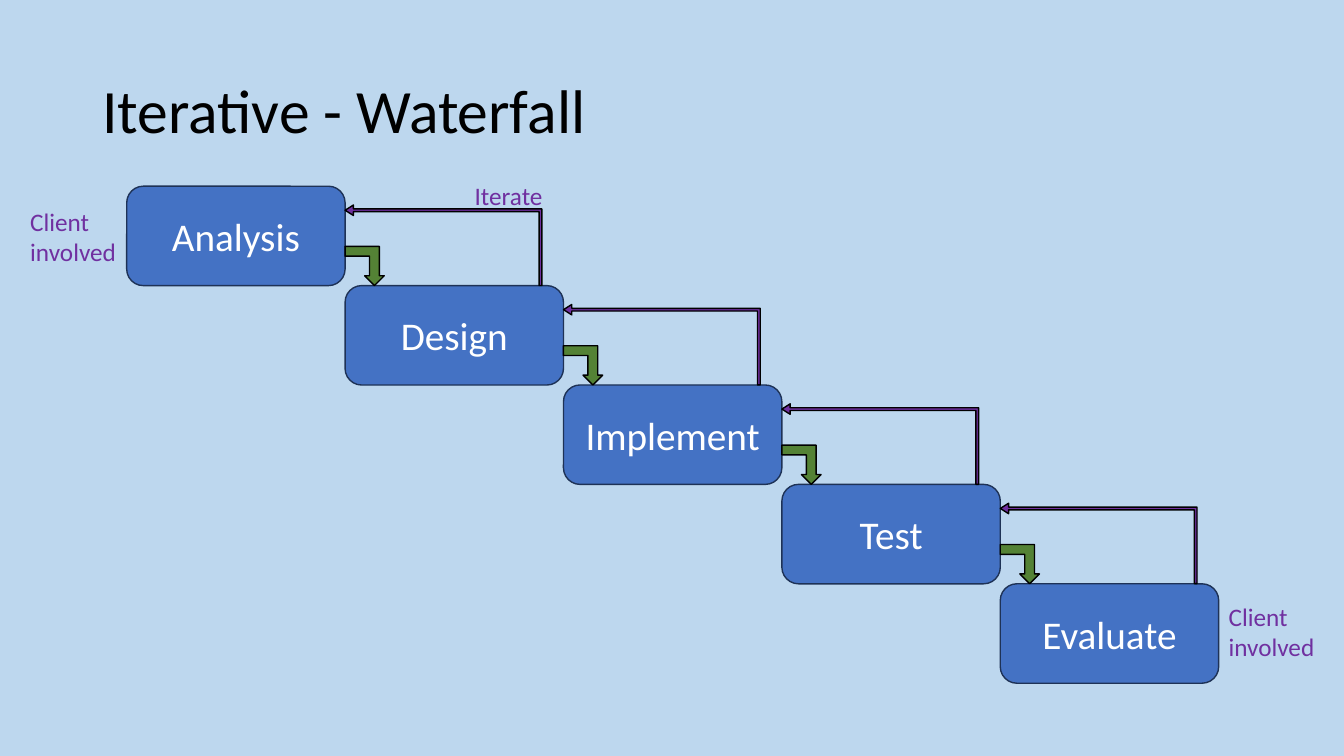
from dataclasses import dataclass

import pptx
import pptx.dml.color
import pptx.enum.shapes
import pptx.enum.text
import pptx.oxml.ns
import pptx.shapes.autoshape
import pptx.slide
import pptx.util

RGBColor = pptx.dml.color.RGBColor
SHAPE = pptx.enum.shapes.MSO_SHAPE
ALIGN = pptx.enum.text.PP_ALIGN
ANCHOR = pptx.enum.text.MSO_ANCHOR
AUTO_SIZE = pptx.enum.text.MSO_AUTO_SIZE

EMU_PER_PX = 6350  # 144 px to the inch
FONT = "Calibri"

BACKGROUND = RGBColor(0xBD, 0xD7, 0xEE)
BLUE = RGBColor(0x44, 0x72, 0xC4)
NAVY = RGBColor(0x1E, 0x32, 0x56)
GREEN = RGBColor(0x54, 0x82, 0x35)
PURPLE = RGBColor(0x70, 0x30, 0xA0)
BLACK = RGBColor(0, 0, 0)
WHITE = RGBColor(255, 255, 255)

STAGE_NAMES = ["Analysis", "Design", "Implement", "Test", "Evaluate"]
FIRST_LEFT, FIRST_TOP = 181, 266
STAGE_WIDTH, STAGE_HEIGHT = 312, 142
FORWARD_SIZE = 56
ITERATE_WIDTH, ITERATE_HEIGHT = 281, 115
ITERATE_ADJUSTMENTS = (0.034, 0.065, 0.103)


@dataclass(frozen=True)
class Box:
    left: int
    top: int
    width: int
    height: int

    def emu(self) -> list[int]:
        return [px * EMU_PER_PX for px in (self.left, self.top, self.width, self.height)]


@dataclass(frozen=True)
class Stage:
    name: str
    box: Box


@dataclass(frozen=True)
class Note:
    text: str
    box: Box


NOTES = [
    Note("Iterate", Box(664, 251, 127, 58)),
    Note("Client\ninvolved", Box(29, 287, 153, 102)),
    Note("Client\ninvolved", Box(1741, 852, 153, 102)),
]


def style_text(frame: pptx.text.text.TextFrame, text: str, size: int, color: RGBColor) -> None:
    frame.text = text
    for paragraph in frame.paragraphs:
        paragraph.font.name = FONT
        paragraph.font.size = pptx.util.Pt(size)
        paragraph.font.color.rgb = color


def add_filled_shape(
    slide: pptx.slide.Slide, kind: SHAPE, box: Box, fill: RGBColor, line: RGBColor
) -> pptx.shapes.autoshape.Shape:
    shape = slide.shapes.add_shape(kind, *box.emu())
    shape.shadow.inherit = False
    shape.fill.solid()
    shape.fill.fore_color.rgb = fill
    shape.line.color.rgb = line
    shape.line.width = pptx.util.Pt(1)
    return shape


def flip(shape: pptx.shapes.autoshape.Shape, *attributes: str) -> None:
    transform = shape._element.spPr.find(pptx.oxml.ns.qn("a:xfrm"))
    for attribute in attributes:
        transform.set(attribute, "1")


def add_title(slide: pptx.slide.Slide) -> None:
    frame = slide.shapes.add_textbox(*Box(132, 58, 1656, 209).emu()).text_frame
    frame.word_wrap = True
    frame.vertical_anchor = ANCHOR.MIDDLE
    style_text(frame, "Iterative - Waterfall", 44, BLACK)
    frame.paragraphs[0].line_spacing = 0.9


def add_stage(slide: pptx.slide.Slide, stage: Stage) -> None:
    shape = add_filled_shape(slide, SHAPE.ROUNDED_RECTANGLE, stage.box, BLUE, NAVY)
    frame = shape.text_frame
    frame.vertical_anchor = ANCHOR.MIDDLE
    style_text(frame, stage.name, 28, WHITE)
    frame.paragraphs[0].alignment = ALIGN.CENTER


def add_forward_arrow(slide: pptx.slide.Slide, target: Box) -> None:
    """Lead from the previous stage down onto the target."""
    box = Box(target.left, target.top - FORWARD_SIZE, FORWARD_SIZE, FORWARD_SIZE)
    flip(add_filled_shape(slide, SHAPE.BENT_UP_ARROW, box, GREEN, BLACK), "flipV")


def add_iterate_arrow(slide: pptx.slide.Slide, source: Box) -> None:
    """Lead from the source back to the stage before it.

    The quarter turn swaps the sides of the frame about its centre.
    """
    shift = (ITERATE_WIDTH - ITERATE_HEIGHT) // 2
    box = Box(
        source.left + shift,
        source.top - ITERATE_HEIGHT - shift,
        ITERATE_HEIGHT,
        ITERATE_WIDTH,
    )
    arrow = add_filled_shape(slide, SHAPE.BENT_UP_ARROW, box, PURPLE, BLACK)
    for index, value in enumerate(ITERATE_ADJUSTMENTS):
        arrow.adjustments[index] = value
    arrow.rotation = 90
    flip(arrow, "flipH", "flipV")


def add_note(slide: pptx.slide.Slide, note: Note) -> None:
    frame = slide.shapes.add_textbox(*note.box.emu()).text_frame
    frame.word_wrap = False
    frame.auto_size = AUTO_SIZE.SHAPE_TO_FIT_TEXT
    style_text(frame, note.text, 18, PURPLE)


def main() -> None:
    presentation = pptx.Presentation()
    presentation.slide_width = 1920 * EMU_PER_PX
    presentation.slide_height = 1080 * EMU_PER_PX
    slide = presentation.slides.add_slide(presentation.slide_layouts[6])
    slide.background.fill.solid()
    slide.background.fill.fore_color.rgb = BACKGROUND

    stages = [
        Stage(
            name,
            Box(
                FIRST_LEFT + step * STAGE_WIDTH,
                FIRST_TOP + step * STAGE_HEIGHT,
                STAGE_WIDTH,
                STAGE_HEIGHT,
            ),
        )
        for step, name in enumerate(STAGE_NAMES)
    ]
    add_title(slide)
    for stage in stages:
        add_stage(slide, stage)
    for stage in stages[1:]:
        add_forward_arrow(slide, stage.box)
    for stage in stages[1:]:
        add_iterate_arrow(slide, stage.box)
    for note in NOTES:
        add_note(slide, note)
    presentation.save("out.pptx")


if __name__ == "__main__":
    main()
